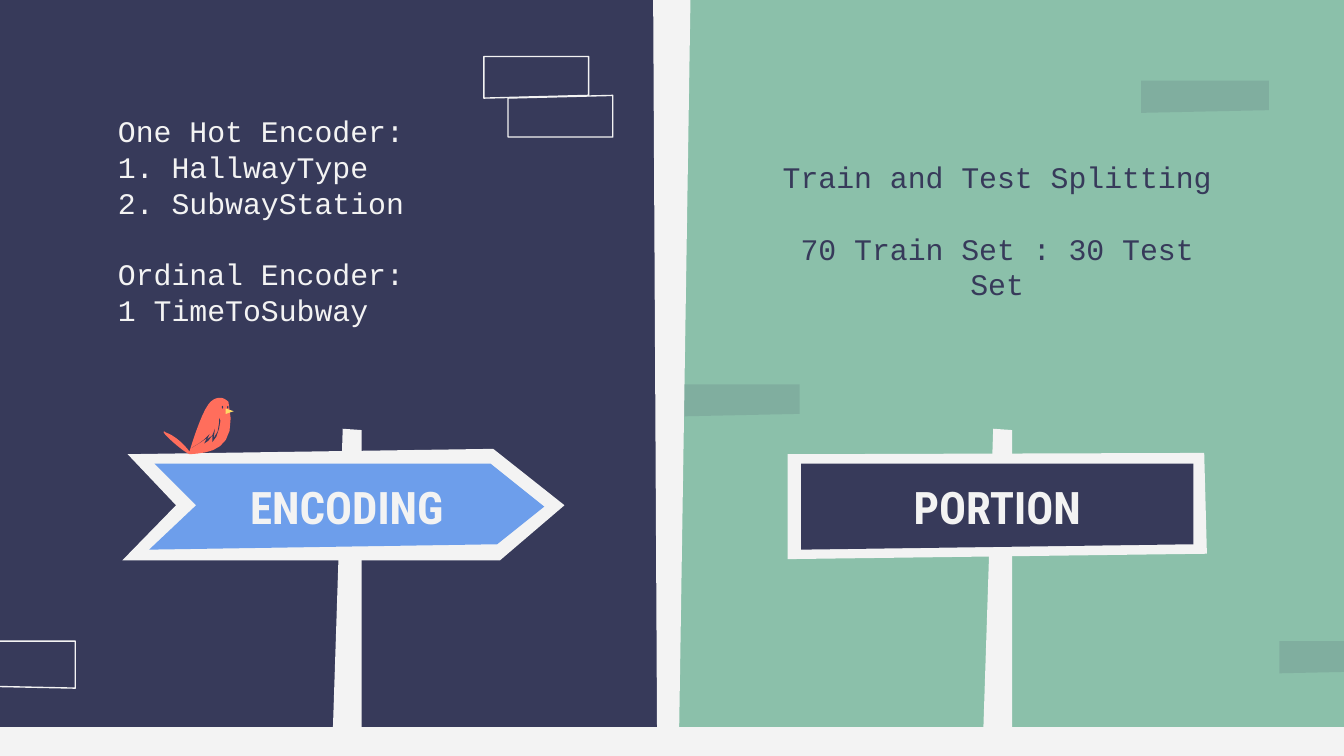
from lxml.etree import SubElement
from pptx import Presentation
from pptx.dml.color import RGBColor
from pptx.enum.shapes import MSO_SHAPE
from pptx.enum.text import MSO_ANCHOR, PP_ALIGN
from pptx.oxml.ns import qn
from pptx.util import Inches, Pt

WIDTH = 10
HEIGHT = WIDTH * 9 / 16
NAVY, GREEN, PAPER = "373A5A", "8BC0AA", "F3F3F3"
BLUE, CORAL, YELLOW = "6D9EEB", "FF6E5C", "FFD966"
BODY_FONT, SIGN_FONT = "Courier New", "Roboto Condensed"
BODY_SIZE, SIGN_SIZE, BLANK_LINE = 16, 24, 19

# Text blocks: each is a list of lines, separated by one line of space
ENCODING_BLOCKS = [
    ["One Hot Encoder:", "1. HallwayType", "2. SubwayStation"],
    ["Ordinal Encoder:", "1 TimeToSubway"],
]
PORTION_BLOCKS = [["Train and Test Splitting"], ["70 Train Set : 30 Test Set"]]

LEFT_PANEL = [(-0.06, 0), (-0.11, 5.63), (4.96, 5.64), (5, -0.05)]
DIVIDER = [(4.86, 0), (4.89, 5.65), (5.05, 5.66), (5.14, -0.16)]
POST = [(0.08, 3.19), (0, 5.63), (0.22, 5.64), (0.22, 3.2)]

# Bricks: left, top, width, left height, right height
SOLID_BRICKS = [(left, top, 0.95, 0.24, 0.22)
                for left, top in [(5, 2.86), (9.52, 4.77), (8.49, 0.6)]]
OUTLINE_BRICKS = [
    (3.78, 0.73, 0.78, 0.29, 0.31),
    (3.6, 0.42, 0.78, 0.31, 0.29),
    (-0.39, 4.77, 0.95, 0.33, 0.35),
]
OUTLINE_BRICK_RISE = 0.02

SIGNS = [
    {
        "title": "ENCODING", "title_left": 0.92, "post_left": 2.47, "fill": BLUE,
        "frame": [(0.95, 3.38), (1.31, 3.76), (0.91, 4.17),
                  (3.72, 4.17), (4.2, 3.76), (3.67, 3.34)],
        "face": [(1.15, 3.45), (1.46, 3.76), (1.11, 4.09),
                 (3.7, 4.05), (4.05, 3.77), (3.65, 3.45)],
    },
    {
        "title": "PORTION", "title_left": 5.76, "post_left": 7.31, "fill": NAVY,
        "frame": [(5.86, 4.16), (5.86, 3.38), (8.96, 3.37), (8.98, 4.12)],
        "face": [(5.96, 4.09), (5.96, 3.45), (8.88, 3.45), (8.88, 4.05)],
    },
]

# Bird body: a start point, then cubic curves as (control, control, end)
BIRD_START = (1.64, 2.96)
BIRD_CURVES = [
    [(1.61, 2.96), (1.58, 2.97), (1.55, 3.01)],
    [(1.49, 3.09), (1.41, 3.36), (1.41, 3.36)],
    [(1.41, 3.36), (1.34, 3.26), (1.24, 3.22)],
    [(1.23, 3.22), (1.23, 3.21), (1.22, 3.21)],
    [(1.19, 3.21), (1.36, 3.36), (1.41, 3.38)],
    [(1.55, 3.37), (1.78, 3.36), (1.7, 2.99)],
    [(1.7, 2.99), (1.67, 2.96), (1.64, 2.96)],
]
BEAK = [(1.68, 3.04), (1.68, 3.08), (1.74, 3.06)]
WING = [
    (1.63, 3.11), (1.63, 3.15), (1.62, 3.21), (1.59, 3.26), (1.6, 3.19),
    (1.58, 3.24), (1.54, 3.27), (1.56, 3.23), (1.52, 3.27), (1.48, 3.3),
    (1.43, 3.33), (1.48, 3.3), (1.54, 3.26), (1.52, 3.3), (1.55, 3.28),
    (1.58, 3.24), (1.58, 3.29), (1.61, 3.25), (1.63, 3.19), (1.64, 3.13),
]
EYE_LEFTS, EYE_TOP, EYE_SIZE = (1.65, 1.69), 3.02, (0.01, 0.02)


def color(hex_string):
    return RGBColor.from_string(hex_string)


def paint(shape, fill=None, line=None, opacity=None):
    """Set fill and outline; opacity is a percentage of the fill."""
    shape.shadow.inherit = False
    if fill:
        shape.fill.solid()
        shape.fill.fore_color.rgb = color(fill)
    else:
        shape.fill.background()
    if line:
        shape.line.color.rgb = color(line)
        shape.line.width = Pt(0.75)
    else:
        shape.line.fill.background()
    if opacity:
        fill_color = shape.fill._xPr.find(qn("a:solidFill"))[0]
        SubElement(fill_color, qn("a:alpha")).set("val", str(opacity * 1000))


def add_polygon(slide, points, **style):
    start, *rest = [(Inches(x), Inches(y)) for x, y in points]
    builder = slide.shapes.build_freeform(*start, scale=1.0)
    builder.add_line_segments(rest, close=True)
    paint(builder.convert_to_shape(), **style)


def add_preset(slide, kind, box, fill):
    paint(slide.shapes.add_shape(kind, *map(Inches, box)), fill)


def add_brick(slide, brick, rise=0, **style):
    """Draw a brick whose top right corner lies higher than its top left by rise."""
    left, top, width, left_height, right_height = brick
    right, right_top = left + width, top - rise
    add_polygon(slide, [(left, top + left_height), (left, top), (right, right_top),
                        (right, right_top + right_height)], **style)


def trace_curves(start, curves, steps=8):
    """Turn joined cubic curves into a list of points."""
    points = [start]
    for curve in curves:
        corners = [points[-1], *curve]
        for step in range(1, steps + 1):
            t = step / steps
            weights = ((1 - t) ** 3, 3 * t * (1 - t) ** 2, 3 * t * t * (1 - t), t ** 3)
            points.append(tuple(sum(w * corner[axis] for w, corner in zip(weights, corners))
                                for axis in (0, 1)))
    return points


def add_text(slide, box, blocks, font, size, ink, align=PP_ALIGN.LEFT,
             anchor=MSO_ANCHOR.MIDDLE, bold=False, line_spacing=None):
    frame = slide.shapes.add_textbox(*map(Inches, box)).text_frame
    frame.word_wrap = True
    frame.vertical_anchor = anchor
    frame.margin_left = frame.margin_right = Inches(0.1)
    frame.margin_top = frame.margin_bottom = Inches(0.1)
    lines = [(block_index, line_index, line) for block_index, block in enumerate(blocks)
             for line_index, line in enumerate(block)]
    for index, (block_index, line_index, line) in enumerate(lines):
        paragraph = frame.add_paragraph() if index else frame.paragraphs[0]
        paragraph.alignment = align
        if line_spacing:
            paragraph.line_spacing = line_spacing
        if block_index and not line_index:
            paragraph.space_before = Pt(BLANK_LINE)
        run = paragraph.add_run()
        run.text = line
        run.font.name, run.font.size, run.font.bold = font, Pt(size), bold
        run.font.color.rgb = color(ink)


def add_sign(slide, sign):
    add_polygon(slide, [(sign["post_left"] + x, y) for x, y in POST], fill=PAPER)
    add_polygon(slide, sign["frame"], fill=PAPER)
    add_polygon(slide, sign["face"], fill=sign["fill"])
    add_text(slide, (sign["title_left"], 3.23, 3.32, 0.84), [[sign["title"]]],
             SIGN_FONT, SIGN_SIZE, PAPER, PP_ALIGN.CENTER, MSO_ANCHOR.BOTTOM,
             bold=True, line_spacing=0.8)


def add_bird(slide):
    add_polygon(slide, trace_curves(BIRD_START, BIRD_CURVES), fill=CORAL)
    add_polygon(slide, BEAK, fill=YELLOW)
    for left in EYE_LEFTS:
        add_preset(slide, MSO_SHAPE.OVAL, (left, EYE_TOP, *EYE_SIZE), NAVY)
    add_polygon(slide, WING, fill=NAVY)


def main():
    presentation = Presentation()
    presentation.slide_width, presentation.slide_height = Inches(WIDTH), Inches(HEIGHT)
    slide = presentation.slides.add_slide(presentation.slide_layouts[6])
    slide.background.fill.solid()
    slide.background.fill.fore_color.rgb = color(GREEN)

    add_polygon(slide, LEFT_PANEL, fill=NAVY)
    for brick in SOLID_BRICKS:
        add_brick(slide, brick, fill=NAVY, opacity=13)
    for index, brick in enumerate(OUTLINE_BRICKS):
        add_brick(slide, brick, rise=0 if index else OUTLINE_BRICK_RISE, line=PAPER)
    add_preset(slide, MSO_SHAPE.RECTANGLE, (-0.19, 5.41, 10.19, 0.29), PAPER)
    add_polygon(slide, DIVIDER, fill=PAPER)

    add_text(slide, (0.78, 0.56, 3.6, 2.16), ENCODING_BLOCKS, BODY_FONT, BODY_SIZE, PAPER)
    add_text(slide, (5.62, 0.82, 3.6, 1.79), PORTION_BLOCKS, BODY_FONT, BODY_SIZE, NAVY,
             PP_ALIGN.CENTER)
    for sign in SIGNS:
        add_sign(slide, sign)
    add_bird(slide)
    presentation.save("out.pptx")


if __name__ == "__main__":
    main()
